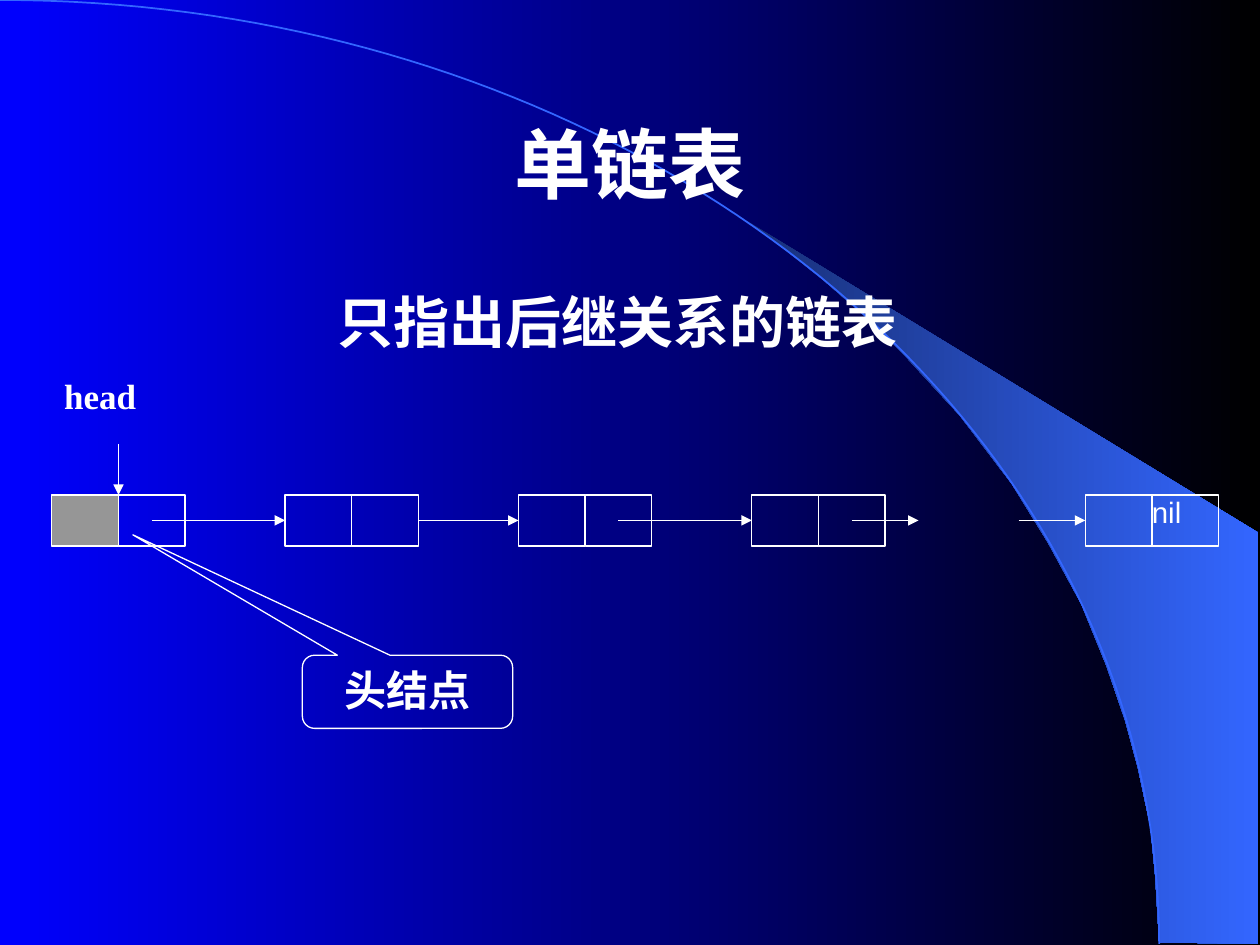
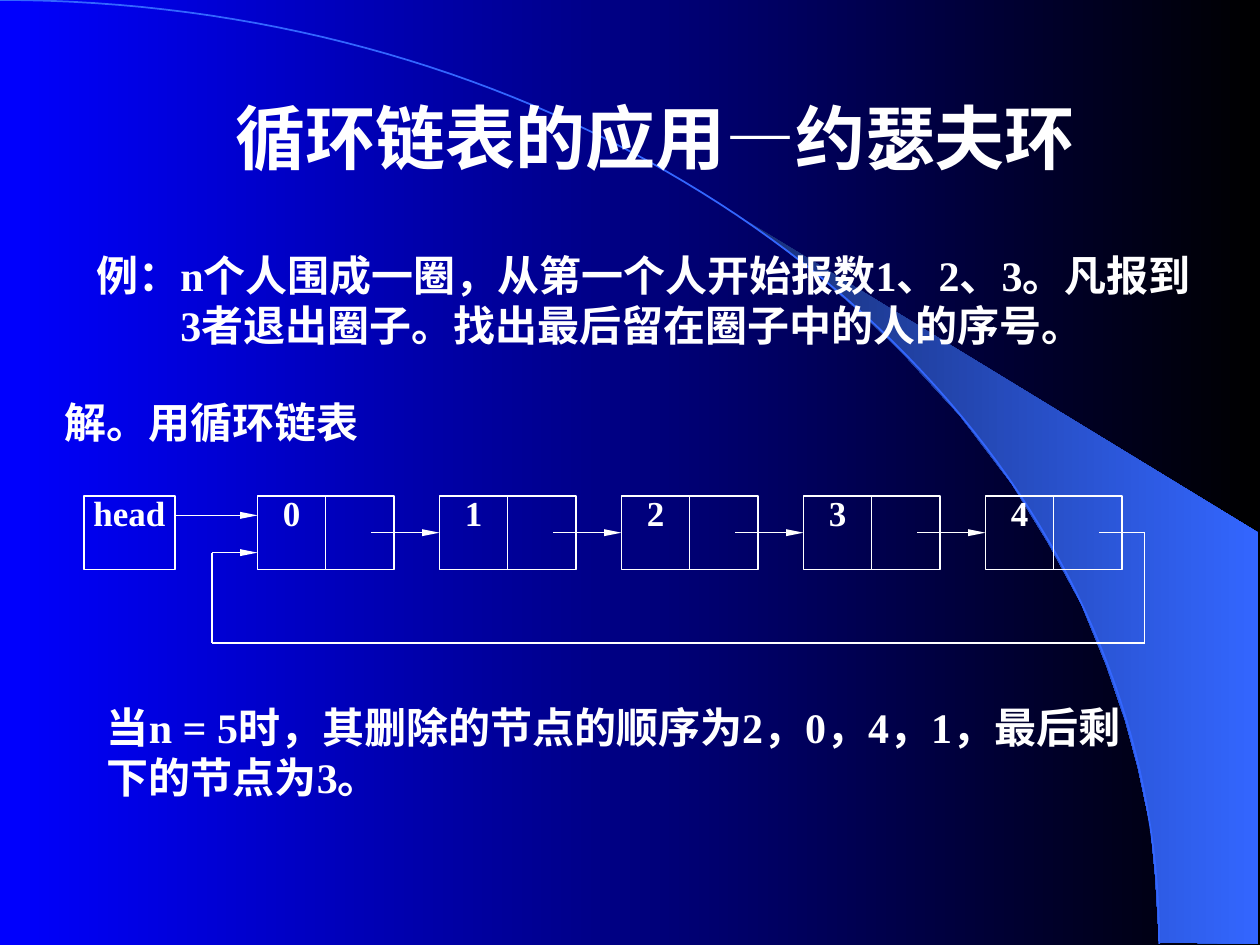
from dataclasses import dataclass

from lxml.etree import SubElement
from pptx import Presentation
from pptx.dml.color import RGBColor
from pptx.enum.shapes import MSO_CONNECTOR, MSO_SHAPE
from pptx.enum.text import MSO_ANCHOR, PP_ALIGN
from pptx.oxml.ns import qn
from pptx.util import Pt


@dataclass(frozen=True)
class Theme:
    ink: RGBColor = RGBColor(0xFF, 0xFF, 0xFF)
    head_cell: RGBColor = RGBColor(0x96, 0x96, 0x96)
    arc: RGBColor = RGBColor(0x33, 0x66, 0xFF)
    background: tuple = (RGBColor(0, 0, 0xFF), RGBColor(0, 0, 0))
    sheen: tuple = (RGBColor(0x18, 0x2F, 0x76), RGBColor(0x33, 0x66, 0xFF))
    sans: str = "Arial"
    serif: str = "Times New Roman"
    title: float = 44
    long_title: float = 40
    subtitle: float = 32
    body: float = 24
    label: float = 20
    small_label: float = 16.8
    stroke: float = 0.75
    arc_stroke: float = 1


THEME = Theme()
SLIDE_WIDTH, SLIDE_HEIGHT = 720, 540
ARC_CURVE = ((0, 0), (365.76, 0), (662.4, 241.2), (662.4, 539.3))
ARC_STEPS = 80
SHEEN_OUTLINE = (
    (662.4, 538.6), (719.3, 539.3), (719.3, 304.6), (424.1, 124.6),
    (449.3, 143.3), (470.2, 159.8), (493.2, 180), (515.5, 201.6),
    (548.6, 237.6), (578.2, 276.5), (599, 310.3), (617.8, 344.9),
    (632.2, 380.2), (643, 411.8), (650.2, 438.5), (657.4, 472.3),
    (660.2, 501.1),
)
SQUARE_HEAD = {"type": "triangle"}
SLIM_HEAD = {"type": "triangle", "w": "sm", "len": "lg"}


def apply_format(target, values):
    for name, value in values.items():
        setattr(target, name, value)


def fill_gradient(fill, colors):
    fill.gradient()
    fill.gradient_angle = 0
    for stop, color in zip(fill.gradient_stops, colors):
        stop.color.rgb = color


def outline(shape, color=THEME.ink, width=THEME.stroke):
    shape.line.color.rgb = color
    shape.line.width = Pt(width)


def write(shape, paragraphs, size, font=THEME.serif, align=PP_ALIGN.LEFT,
          anchor=MSO_ANCHOR.TOP, inset=7.2, spacing=None, bold=True, indents=()):
    """Fill a shape with paragraphs; indents gives left margins by paragraph."""
    frame = shape.text_frame
    frame.text = "\n".join(paragraphs)
    apply_format(frame, {
        "word_wrap": True, "vertical_anchor": anchor,
        "margin_left": Pt(inset), "margin_right": Pt(inset),
        "margin_top": Pt(3.6), "margin_bottom": Pt(3.6),
    })
    for paragraph in frame.paragraphs:
        apply_format(paragraph, {"alignment": align, "line_spacing": spacing})
        for run in paragraph.runs:
            apply_format(run.font, {"name": font, "size": Pt(size), "bold": bold})
            run.font.color.rgb = THEME.ink
    for paragraph, indent in zip(frame.paragraphs, indents):
        paragraph._p.get_or_add_pPr().set("marL", str(Pt(indent)))


def add_text(slide, box, paragraphs, size, **style):
    write(slide.shapes.add_textbox(*map(Pt, box)), paragraphs, size, **style)


def add_outlined(slide, kind, box, fill=None):
    shape = slide.shapes.add_shape(kind, *map(Pt, box))
    shape.shadow.inherit = False
    outline(shape)
    if fill is None:
        shape.fill.background()
    else:
        shape.fill.solid()
        shape.fill.fore_color.rgb = fill
    return shape


def add_cell(slide, box, label=None, size=THEME.label, fill=None, **style):
    cell = add_outlined(slide, MSO_SHAPE.RECTANGLE, box, fill)
    if label:
        write(cell, [label], size, **style)


def add_link(slide, start, end, head=None):
    link = slide.shapes.add_connector(MSO_CONNECTOR.STRAIGHT, *map(Pt, (*start, *end)))
    outline(link)
    if head:
        SubElement(link.line._get_or_add_ln(), qn("a:tailEnd"), head)
    SubElement(link._element.spPr, qn("a:effectLst"))


def add_outline(slide, points, close):
    corners = [(Pt(x), Pt(y)) for x, y in points]
    builder = slide.shapes.build_freeform(*corners[0], scale=1.0)
    builder.add_line_segments(corners[1:], close=close)
    shape = builder.convert_to_shape()
    shape.shadow.inherit = False
    return shape


def curve_point(t):
    """Point at t on the cubic curve of the arc."""
    weights = ((1 - t) ** 3, 3 * t * (1 - t) ** 2, 3 * t * t * (1 - t), t ** 3)
    return tuple(sum(w * p[axis] for w, p in zip(weights, ARC_CURVE)) for axis in (0, 1))


def add_backdrop_slide(deck):
    slide = deck.slides.add_slide(deck.slide_layouts[6])
    fill_gradient(slide.background.fill, THEME.background)
    sheen = add_outline(slide, SHEEN_OUTLINE, close=True)
    fill_gradient(sheen.fill, THEME.sheen)
    sheen.line.fill.background()
    arc = add_outline(slide, [curve_point(i / ARC_STEPS) for i in range(ARC_STEPS + 1)],
                      close=False)
    arc.fill.background()
    outline(arc, THEME.arc, THEME.arc_stroke)
    return slide


def draw_single_list(slide):
    left, top, cell_width, cell_height = 29.6, 282.8, 38.1, 29.2
    middle = top + cell_height / 2

    def column(cells):
        return left + cells * cell_width

    nodes = (0, 3.5, 7, 10.5, 15.5)
    for node in nodes:
        for part in (0, 1):
            is_head = node + part == 0
            is_end = part == 1 and node == nodes[-1]
            add_cell(slide, (column(node + part), top, cell_width, cell_height),
                     "nil" if is_end else None, THEME.small_label,
                     THEME.head_cell if is_head else None,
                     font=THEME.sans, inset=0, spacing=0.8, bold=False)
    for start, end in ((1.5, 3.5), (5.5, 7), (8.5, 10.5), (12, 13), (14.5, 15.5)):
        add_link(slide, (column(start), middle), (column(end), middle), SQUARE_HEAD)
    add_text(slide, (left, 210.2, 95, 43.9), ["head"], THEME.label, align=PP_ALIGN.JUSTIFY)
    add_link(slide, (column(1), 253.6), (column(1), top), SQUARE_HEAD)


def add_callout(slide, box, pointer, label):
    callout = add_outlined(slide, MSO_SHAPE.ROUNDED_RECTANGULAR_CALLOUT, box)
    for index, value in enumerate(pointer):
        callout.adjustments[index] = value
    write(callout, [label], THEME.body, align=PP_ALIGN.CENTER)


def draw_circular_list(slide):
    first, top, cell_width, cell_height, pitch, count = 147.2, 283.5, 39, 41.8, 104, 5
    middle = top + cell_height / 2
    label_style = {"align": PP_ALIGN.CENTER, "spacing": 0.72}
    add_cell(slide, (48, top, 52, cell_height), "head", inset=4.3, **label_style)
    add_link(slide, (100, 294.5), (first, 294.5), SLIM_HEAD)
    for number in range(count):
        x = first + number * pitch
        add_cell(slide, (x, top, cell_width, cell_height), str(number), **label_style)
        add_cell(slide, (x + cell_width, top, cell_width, cell_height))
        if number < count - 1:
            add_link(slide, (x + 65, middle), (x + pitch, middle), SLIM_HEAD)
    right, bottom, turn, entry = x + 91, 367.4, 121.2, 315.8
    route = ((x + 65, middle), (right, middle), (right, bottom),
             (turn, bottom), (turn, entry), (first, entry))
    for start, end in zip(route, route[1:]):
        add_link(slide, start, end, SLIM_HEAD if end == route[-1] else None)


def build_single_list_slide(deck):
    slide = add_backdrop_slide(deck)
    add_text(slide, (54, 48.2, 612, 90), ["单链表"], THEME.title, font=THEME.sans,
             align=PP_ALIGN.CENTER, anchor=MSO_ANCHOR.MIDDLE)
    draw_single_list(slide)
    add_callout(slide, (172.8, 374.4, 120.2, 41.8), (-1.306, -2.146, 0.167), "头结点")
    add_text(slide, (124.6, 160.6, 457.2, 46), ["只指出后继关系的链表"], THEME.subtitle,
             font=THEME.sans, align=PP_ALIGN.CENTER)


def build_josephus_slide(deck):
    slide = add_backdrop_slide(deck)
    add_text(slide, (48, 139, 648, 93.6),
             ["例：n个人围成一圈，从第一个人开始报数1、2、3。凡报到",
              "3者退出圈子。找出最后留在圈子中的人的序号。"],
             THEME.body, indents=(0, 48))
    add_text(slide, (30, 223.2, 210, 36), ["解。用循环链表"], THEME.body)
    draw_circular_list(slide)
    add_text(slide, (54, 397.4, 600, 64.8),
             ["当n = 5时，其删除的节点的顺序为2，0，4，1，最后剩下的节点为3。"], THEME.body)
    add_text(slide, (121, 50.4, 506.9, 55.4), ["循环链表的应用—约瑟夫环"], THEME.long_title,
             font=THEME.sans, align=PP_ALIGN.CENTER)


def main():
    deck = Presentation()
    apply_format(deck, {"slide_width": Pt(SLIDE_WIDTH), "slide_height": Pt(SLIDE_HEIGHT)})
    build_single_list_slide(deck)
    build_josephus_slide(deck)
    deck.save("out.pptx")


if __name__ == "__main__":
    main()
